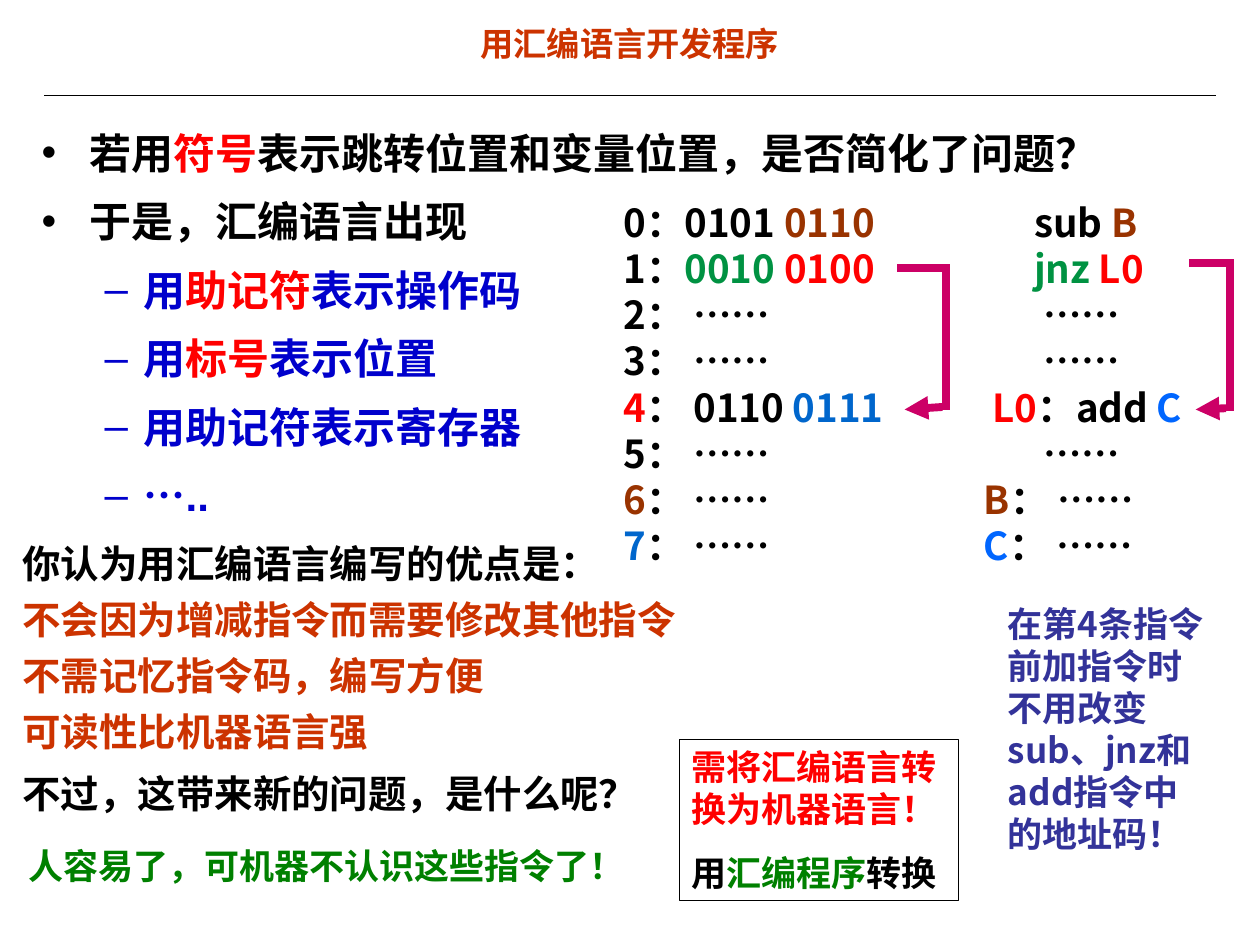
"""Build the slide on developing programs in assembly language."""
import pptx
import pptx.util
import pptx.dml.color
import pptx.enum.shapes
import pptx.enum.text
import pptx.oxml
import pptx.oxml.ns

CJK = "Noto Sans CJK SC"
BLACK, RED, RUST, BROWN = "000000", "FF0000", "CC3300", "993300"
GREEN, NAVY, BLUE, SKY, PINK = "009242", "0000CC", "0066CC", "0066FF", "CC0066"


def rgb(code):
    return pptx.dml.color.RGBColor.from_string(code)


def write(tf, runs, size=22, font="Arial", before=0, spacing=None, indent=0,
          hang=0, bullet=None, level=0, align=None):
    p = tf.paragraphs[0]
    if p.runs:
        p = tf.add_paragraph()
        p.space_before = pptx.util.Pt(before)
    else:
        p.space_before = pptx.util.Pt(0)
    p.level = level
    p.alignment = align
    if spacing:
        p.line_spacing = spacing
    pPr = p._p.get_or_add_pPr()
    pPr.set("marL", str(int(indent)))
    pPr.set("indent", str(-int(hang)))
    if bullet:
        clr = pptx.oxml.ns.qn("a:buClr")
        sub = pPr.makeelement(clr, {})
        sub.append(pPr.makeelement(pptx.oxml.ns.qn("a:srgbClr"), {"val": NAVY if level else BLACK}))
        pPr.append(sub)
        pPr.append(pPr.makeelement(pptx.oxml.ns.qn("a:buFont"), {"typeface": "Arial"}))
        pPr.append(pPr.makeelement(pptx.oxml.ns.qn("a:buChar"), {"char": bullet}))
    for text, code, *own in runs:
        r = p.add_run()
        r.text = text
        r.font.size = pptx.util.Pt(size)
        r.font.bold = True
        r.font.name = own[0] if own else font
        r.font.color.rgb = rgb(code)
        rPr = r._r.get_or_add_rPr()
        rPr.find(pptx.oxml.ns.qn("a:latin")).addnext(
            rPr.makeelement(pptx.oxml.ns.qn("a:ea"), {"typeface": CJK}))


prs = pptx.Presentation()
prs.slide_width, prs.slide_height = pptx.util.Inches(10), pptx.util.Inches(7.5)
col, row = prs.slide_width / 100, prs.slide_height / 75
s = prs.slides.add_slide(prs.slide_layouts[1])

title, body = s.placeholders
for sp, (x, y, w, h) in ((title, (5, 1.4, 90, 4.6)), (body, (2.3, 9, 89.1, 54.3))):
    sp.left, sp.top, sp.width, sp.height = int(x * col), int(y * row), int(w * col), int(h * row)
    sp.text_frame.auto_size = pptx.enum.text.MSO_AUTO_SIZE.NONE
title.text_frame.vertical_anchor = pptx.enum.text.MSO_ANCHOR.MIDDLE
write(title.text_frame, [("用汇编语言开发程序", RUST)], size=19, spacing=0.8,
      align=pptx.enum.text.PP_ALIGN.CENTER)

bullets = [
    (0, [("若用", BLACK), ("符号", RED), ("表示跳转位置和变量位置，是否简化了问题？", BLACK)]),
    (0, [("于是，汇编语言出现", BLACK)]),
    (1, [("用", NAVY), ("助记符", RED), ("表示操作码", NAVY)]),
    (1, [("用", NAVY), ("标号", RED), ("表示位置", NAVY)]),
    (1, [("用助记符表示寄存器", NAVY)]),
    (1, [("…", NAVY, CJK), ("..", NAVY)]),
]
for level, runs in bullets:
    write(body.text_frame, runs, size=24, before=6, spacing=1.15, level=level,
          indent=(3.8, 8.1)[level] * col, hang=(3.8, 3.1)[level] * col, bullet="•–"[level])

machine = [
    (0, [("0：0101 ", BLACK), ("0110", BROWN)]),
    (0, [("1：", BLACK), ("0010 ", GREEN), ("0100", RED)]),
    (0, [("2： ……", BLACK)]),
    (0, [("3： ……", BLACK)]),
    (0, [("4", RED), ("： 0110 ", BLACK), ("0111", BLUE)]),
    (0, [("5： ……", BLACK)]),
    (0, [("6", BROWN), ("： ……", BLACK)]),
    (0, [("7", BLUE), ("： ……", BLACK)]),
]
assembly = [
    (4, [("sub ", BLACK), ("B", BROWN)]),
    (4, [("jnz ", GREEN), ("L0", RED)]),
    (4.7, [("……", BLACK)]),
    (4.7, [("……", BLACK)]),
    (0.7, [("L0", RED), ("：add ", BLACK), ("C", SKY)]),
    (4.7, [("……", BLACK)]),
    (0, [("B", BROWN), ("： ……", BLACK)]),
    (0, [("C", SKY), ("： ……", BLACK)]),
]
advice = [(0, [("在第4条指令前加指令时不用改变sub、jnz和add指令中的地址码！", "333399")])]
merits = [(0, [(text, code)]) for text, code in (
    ("你认为用汇编语言编写的优点是：", BLACK), ("不会因为增减指令而需要修改其他指令", RUST),
    ("不需记忆指令码，编写方便", RUST), ("可读性比机器语言强", RUST))]
question = [(0, [("不过，这带来新的问题，是什么呢？", BLACK)])]
answer = [(0, [("人容易了，可机器不认识这些指令了！", "008000")])]
remedy = [(0, [("需将汇编语言转换为机器语言！", RED)]),
          (0, [("用", BLACK), ("汇编程序", "008000"), ("转换", BLACK)])]

for (x, y, w, h), size, font, before, lines in (
        ((48.5, 15.3, 26.5, 30.4), 22, CJK, 0, machine),
        ((77.1, 15.3, 20.5, 30.4), 22, CJK, 0, assembly),
        ((79, 47.3, 18.2, 21), 20, CJK, 0, advice),
        ((0.8, 42.4, 57.1, 18), 22, "Arial", 5.5, merits),
        ((0.8, 60.6, 53.6, 4.7), 22, "Arial", 0, question),
        ((1.3, 66.5, 50.2, 4.4), 20, "Arial", 0, answer),
        ((53.9, 58.7, 22.2, 12.8), 20, "Arial", 12.5, remedy)):
    sp = s.shapes.add_textbox(int(x * col), int(y * row), int(w * col), int(h * row))
    tf = sp.text_frame
    tf.word_wrap = True
    for indent, runs in lines:
        write(tf, runs, size=size, font=font, before=before, indent=indent * col)
tf.margin_right = 0
sp.line.color.rgb = rgb(BLACK)
sp.line.width = pptx.util.Pt(0.75)

for x1, y1, x2, y2, code, width, arrow in (
        (3.5, 7.6, 96.5, 7.6, BLACK, 0.75, False),
        (71.2, 21.3, 75.4, 21.3, PINK, 4.5, False),
        (75.1, 21.2, 75.1, 32.5, PINK, 4.5, False),
        (74.8, 32.3, 71.8, 32.5, PINK, 4.5, True),
        (94.4, 20.9, 97.9, 20.9, PINK, 4.5, False),
        (97.6, 20.8, 97.6, 32.6, PINK, 4.5, False),
        (97.3, 32.4, 94.9, 32.5, PINK, 4.5, True)):
    sp = s.shapes.add_connector(pptx.enum.shapes.MSO_CONNECTOR.STRAIGHT,
                                int(x1 * col), int(y1 * row), int(x2 * col), int(y2 * row))
    sp.line.color.rgb = rgb(code)
    sp.line.width = pptx.util.Pt(width)
    if arrow:
        ln = sp.line._get_or_add_ln()
        ln.append(ln.makeelement(pptx.oxml.ns.qn("a:tailEnd"), {"type": "triangle"}))
    spPr = sp._element.spPr
    spPr.append(spPr.makeelement(pptx.oxml.ns.qn("a:effectLst"), {}))

prs.save("out.pptx")
